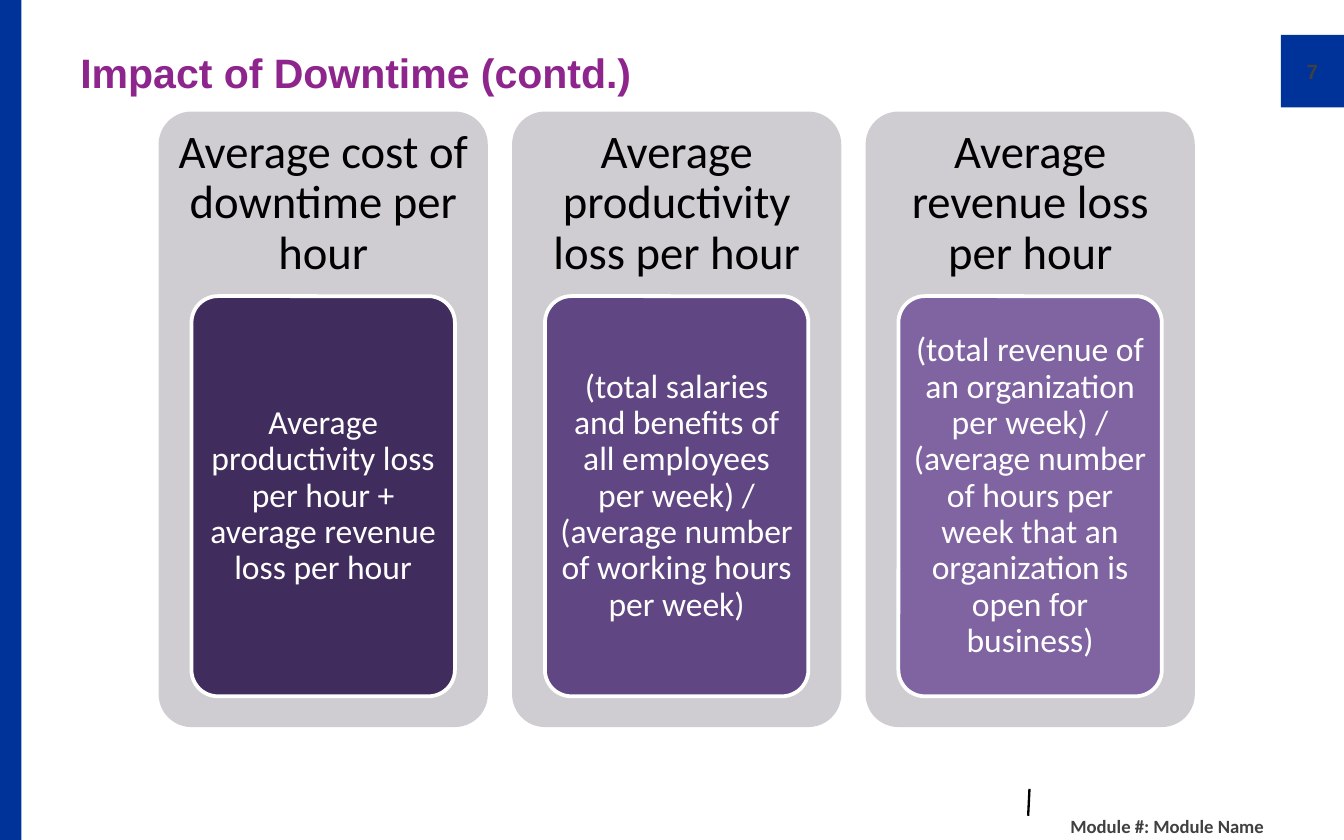
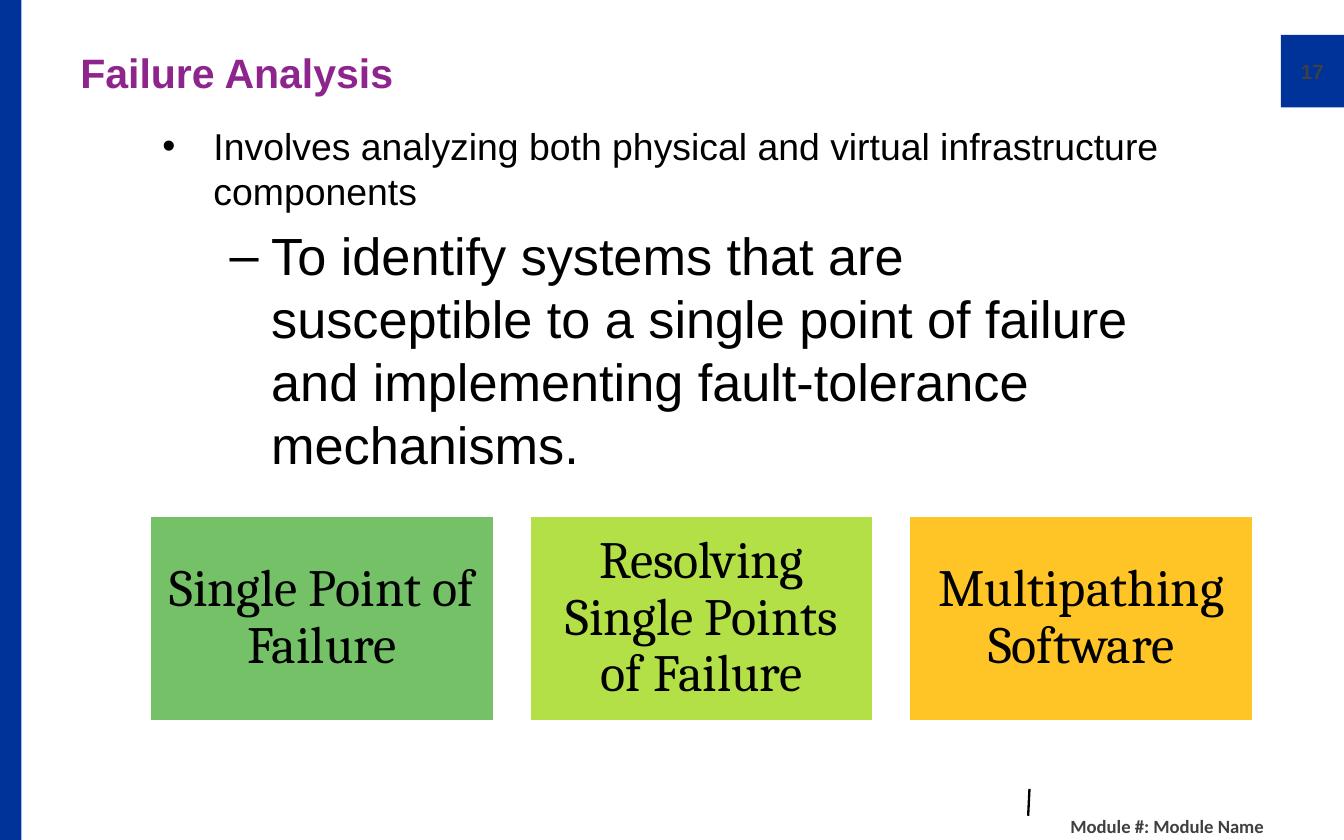
from lxml import etree
from pptx import Presentation
from pptx.dml.color import RGBColor
from pptx.enum.shapes import MSO_CONNECTOR, MSO_SHAPE
from pptx.enum.text import MSO_ANCHOR, PP_ALIGN
from pptx.oxml.ns import qn
from pptx.util import Inches, Pt

RECT, ROUNDED = MSO_SHAPE.RECTANGLE, MSO_SHAPE.ROUNDED_RECTANGLE
LEFT, CENTER, RIGHT = PP_ALIGN.LEFT, PP_ALIGN.CENTER, PP_ALIGN.RIGHT

# Content
FOOTER = "Module #: Module Name"
DOWNTIME = {
    "title": "Impact of Downtime (contd.)",
    "number": "7",
    "cards": [  # heading, formula, colour
        ("Average cost of downtime per hour",
         "Average productivity loss per hour + average revenue loss per hour", "412D5D"),
        ("Average productivity loss per hour",
         "(total salaries and benefits of all employees per week) / "
         "(average number of working hours per week)", "604682"),
        ("Average revenue loss per hour",
         "(total revenue of an organization per week) / (average number of hours "
         "per week that an organization is open for business)", "8064A2"),
    ],
}
FAILURE = {
    "title": "Failure Analysis",
    "number": "17",
    "points": [  # text, size, bullet, left margin, hanging indent, space before
        ("Involves analyzing both physical and virtual infrastructure components",
         20, "•", 0.38, 0.38, 0),
        ("To identify systems that are susceptible to a single point of failure "
         "and implementing fault-tolerance mechanisms.", 28, "–", 0.81, 0.31, 5.6),
    ],
    "topics": [
        ("Single Point of Failure", "74C167"),
        ("Resolving Single Points of Failure", "B3E046"),
        ("Multipathing Software", "FFC425"),
    ],
}

# Shared style
WIDTH, HEIGHT = 10, 6.25
BLUE, PURPLE, GREY, DARK = "003399", "8E258D", "CFCDD2", "404040"
BLACK, WHITE = "000000", "FFFFFF"


def color(value):
    return RGBColor.from_string(value)


def style(paragraph, font, size, ink, bold=False, align=LEFT):
    paragraph.alignment = align
    paragraph.font.name, paragraph.font.size = font, Pt(size)
    paragraph.font.bold = bold
    paragraph.font.color.rgb = color(ink)


def frame(shape, insets=(0.1, 0.05), anchor=MSO_ANCHOR.MIDDLE):
    tf = shape.text_frame
    tf.word_wrap, tf.vertical_anchor = True, anchor
    tf.margin_left = tf.margin_right = Inches(insets[0])
    tf.margin_top = tf.margin_bottom = Inches(insets[1])
    return tf


def write(shape, text, font, size, ink, bold=False, align=CENTER,
          insets=(0.1, 0.05), spacing=None):
    paragraph = frame(shape, insets).paragraphs[0]
    paragraph.text, paragraph.line_spacing = text, spacing
    style(paragraph, font, size, ink, bold, align)


def textbox(slide, *box):
    return slide.shapes.add_textbox(*map(Inches, box))


def panel(slide, kind, box, fill, outline=None):
    shape = slide.shapes.add_shape(kind, *map(Inches, box))
    shape.shadow.inherit = False
    shape.fill.solid()
    shape.fill.fore_color.rgb = color(fill)
    if outline:
        shape.line.color.rgb = color(outline)
        shape.line.width = Pt(2)
    else:
        shape.line.fill.background()
    if kind == ROUNDED:
        shape.adjustments[0] = 0.1
    return shape


def base_slide(prs, content):
    slide = prs.slides.add_slide(prs.slide_layouts[6])
    # Number tab, side band and footer tick
    tab = panel(slide, RECT, (9.53, 0.26, 0.47, 0.54), BLUE)
    write(tab, content["number"], "Arial", 11, DARK, bold=True, insets=(0, 0))
    panel(slide, RECT, (0, 0, 0.16, HEIGHT), BLUE)
    tick = slide.shapes.add_connector(
        MSO_CONNECTOR.STRAIGHT, *map(Inches, (7.66, 5.87, 7.65, 6.07)))
    tick.line.color.rgb, tick.line.width = color(BLACK), Pt(1.25)
    etree.SubElement(tick._element.spPr, qn("a:effectLst"))
    # Title and footer
    write(textbox(slide, 0.5, 0.25, 9.03, 0.57), content["title"],
          "Arial", 22, PURPLE, bold=True, align=LEFT)
    write(textbox(slide, 4.92, 6.04, 4.58, 0.21), FOOTER,
          "Calibri", 10, DARK, bold=True, align=RIGHT)
    return slide


def downtime_slide(prs):
    slide = base_slide(prs, DOWNTIME)
    left, top, width, height, pitch = 1.18, 0.83, 2.45, 4.58, 2.63
    heading_height = 0.3 * height
    inner_width, inner_height = 0.8 * width, 0.65 * height
    for column, (heading, formula, fill) in enumerate(DOWNTIME["cards"]):
        x = left + column * pitch
        panel(slide, ROUNDED, (x, top, width, height), GREY)
        write(textbox(slide, x, top, width, heading_height), heading,
              "Calibri", 25, BLACK, insets=(0.1, 0.1), spacing=0.9)
        inner = panel(slide, ROUNDED,
                      (x + 0.1 * width, top + heading_height, inner_width, inner_height),
                      fill, WHITE)
        write(inner, formula, "Calibri", 18, WHITE, insets=(0.05, 0.04), spacing=0.9)


def failure_slide(prs):
    slide = base_slide(prs, FAILURE)
    # Bulleted points
    tf = frame(textbox(slide, 1.11, 0.87, 7.71, 2.9), anchor=MSO_ANCHOR.TOP)
    for row, (text, size, bullet, margin, hang, before) in enumerate(FAILURE["points"]):
        paragraph = tf.add_paragraph() if row else tf.paragraphs[0]
        paragraph.text = text
        properties = paragraph._p.get_or_add_pPr()
        properties.set("marL", str(Inches(margin)))
        properties.set("indent", str(-Inches(hang)))
        etree.SubElement(properties, qn("a:buFont"), typeface="Arial")
        etree.SubElement(properties, qn("a:buChar"), char=bullet)
        paragraph.level = row
        paragraph.space_before = Pt(before)
        style(paragraph, "Arial", size, BLACK)
    # Topic boxes
    left, top, width, height, pitch = 1.11, 3.83, 2.57, 1.54, 2.825
    for column, (topic, fill) in enumerate(FAILURE["topics"]):
        box = panel(slide, RECT, (left + column * pitch, top, width, height), fill, WHITE)
        write(box, topic, "Cambria", 28, BLACK, insets=(0.12, 0.12), spacing=0.9)


def main():
    prs = Presentation()
    prs.slide_width, prs.slide_height = Inches(WIDTH), Inches(HEIGHT)
    downtime_slide(prs)
    failure_slide(prs)
    prs.save("out.pptx")


if __name__ == "__main__":
    main()
